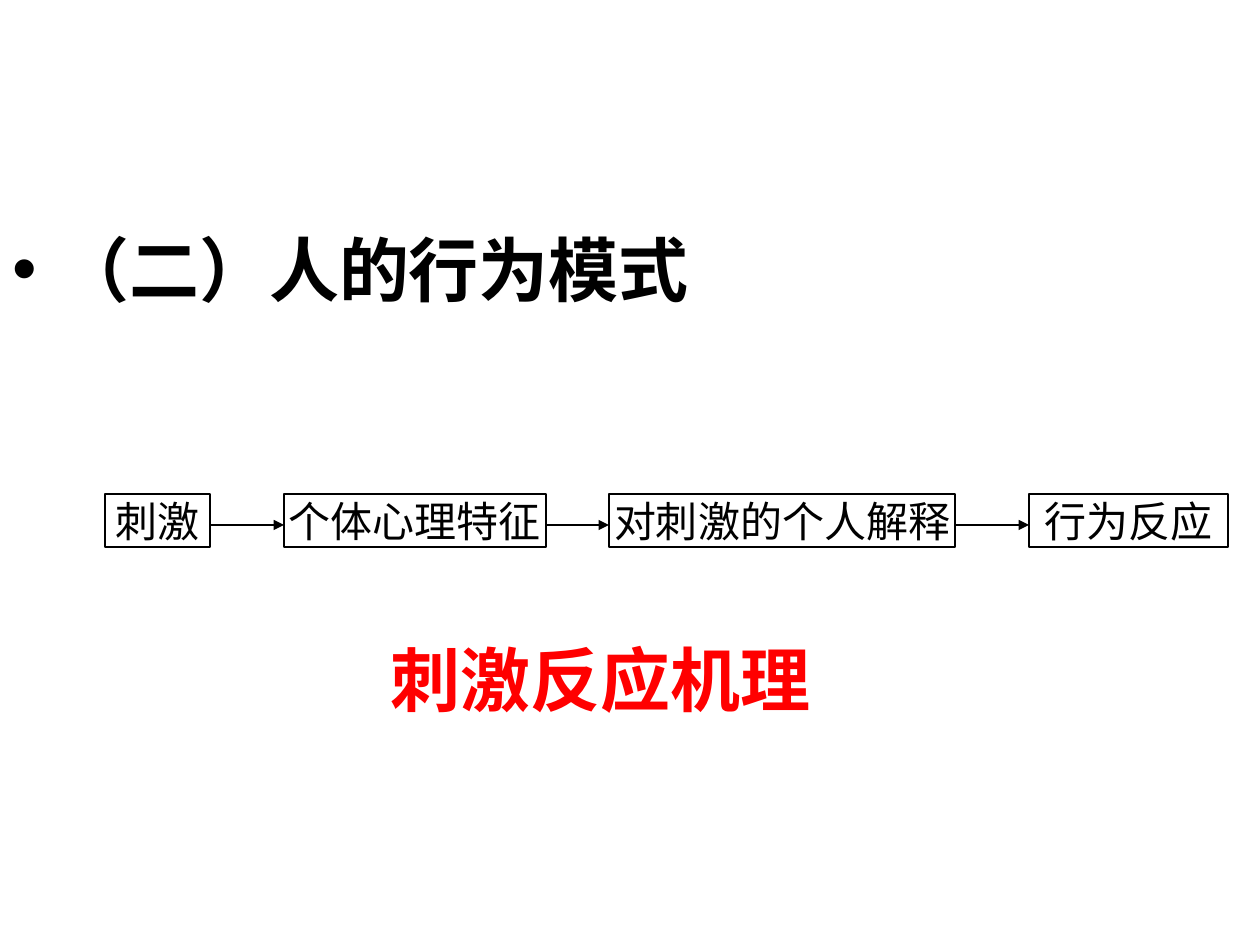
from dataclasses import dataclass
from itertools import pairwise

from lxml.etree import SubElement
from pptx import Presentation
from pptx.dml.color import RGBColor
from pptx.enum.shapes import MSO_CONNECTOR, MSO_SHAPE
from pptx.enum.text import MSO_ANCHOR, MSO_AUTO_SIZE, PP_ALIGN
from pptx.oxml.ns import qn
from pptx.util import Emu, Pt

PX_PER_INCH = 126
BLACK, WHITE, RED = "000000", "FFFFFF", "FF0000"
STAGE_TOP, STAGE_HEIGHT, ARROW_Y = 494, 53, 525


@dataclass(frozen=True)
class Stage:
    label: str
    left: int
    width: int

    @property
    def right(self) -> int:
        return self.left + self.width


STAGES = [
    Stage("刺激", 105, 105),
    Stage("个体心理特征", 284, 262),
    Stage("对刺激的个人解释", 609, 346),
    Stage("行为反应", 1029, 199),
]


def px(length: int) -> Emu:
    return Emu(round(length * 914400 / PX_PER_INCH))


def color(hex_code: str) -> RGBColor:
    return RGBColor.from_string(hex_code)


def add_run(paragraph, text: str, size: int, face: str, hex_code: str,
            bold: bool = False) -> None:
    run = paragraph.add_run()
    run.text = text
    run.font.size = Pt(size)
    run.font.name = face
    run.font.bold = bold
    run.font.color.rgb = color(hex_code)


def add_text(slide, left: int, top: int, width: int, height: int):
    frame = slide.shapes.add_textbox(px(left), px(top), px(width), px(height)).text_frame
    frame.word_wrap = True
    return frame


def add_bullet(paragraph, indent: int) -> None:
    properties = paragraph._p.get_or_add_pPr()
    properties.set("marL", str(px(indent)))
    properties.set("indent", str(-px(indent)))
    bullet_color = SubElement(properties, qn("a:buClr"))
    SubElement(bullet_color, qn("a:srgbClr"), val=BLACK)
    SubElement(properties, qn("a:buFont"), typeface="Arial")
    SubElement(properties, qn("a:buChar"), char="•")


def add_stage(slide, stage: Stage) -> None:
    box = slide.shapes.add_shape(MSO_SHAPE.RECTANGLE, px(stage.left), px(STAGE_TOP),
                                 px(stage.width), px(STAGE_HEIGHT))
    box.shadow.inherit = False
    box.fill.solid()
    box.fill.fore_color.rgb = color(WHITE)
    box.line.color.rgb = color(BLACK)
    box.line.width = Pt(0.75)
    frame = box.text_frame
    frame.word_wrap = False
    frame.vertical_anchor = MSO_ANCHOR.MIDDLE
    frame.paragraphs[0].alignment = PP_ALIGN.CENTER
    add_run(frame.paragraphs[0], stage.label, 24, "Times New Roman", BLACK)


def add_arrow(slide, start: int, end: int) -> None:
    arrow = slide.shapes.add_connector(MSO_CONNECTOR.STRAIGHT, px(start), px(ARROW_Y),
                                       px(end), px(ARROW_Y))
    arrow.line.color.rgb = color(BLACK)
    arrow.line.width = Pt(0.75)
    SubElement(arrow.line._get_or_add_ln(), qn("a:tailEnd"), type="triangle")
    SubElement(arrow._element.spPr, qn("a:effectLst"))


def main() -> None:
    prs = Presentation()
    prs.slide_width, prs.slide_height = px(1260), px(945)
    slide = prs.slides.add_slide(prs.slide_layouts[6])

    # Heading
    heading = add_text(slide, 0, 220, 1134, 110).paragraphs[0]
    add_bullet(heading, 47)
    add_run(heading, "（二）人的行为模式", 40, "Arial", BLACK, bold=True)

    # Chain from stimulus to response
    for stage in STAGES:
        add_stage(slide, stage)
    for before, after in pairwise(STAGES):
        add_arrow(slide, before.right, after.left)

    # Name of the mechanism
    mechanism = add_text(slide, 378, 630, 525, 97)
    mechanism.auto_size = MSO_AUTO_SIZE.SHAPE_TO_FIT_TEXT
    add_run(mechanism.paragraphs[0], "刺激反应机理", 40, "Times New Roman", RED, bold=True)

    prs.save("out.pptx")


if __name__ == "__main__":
    main()
